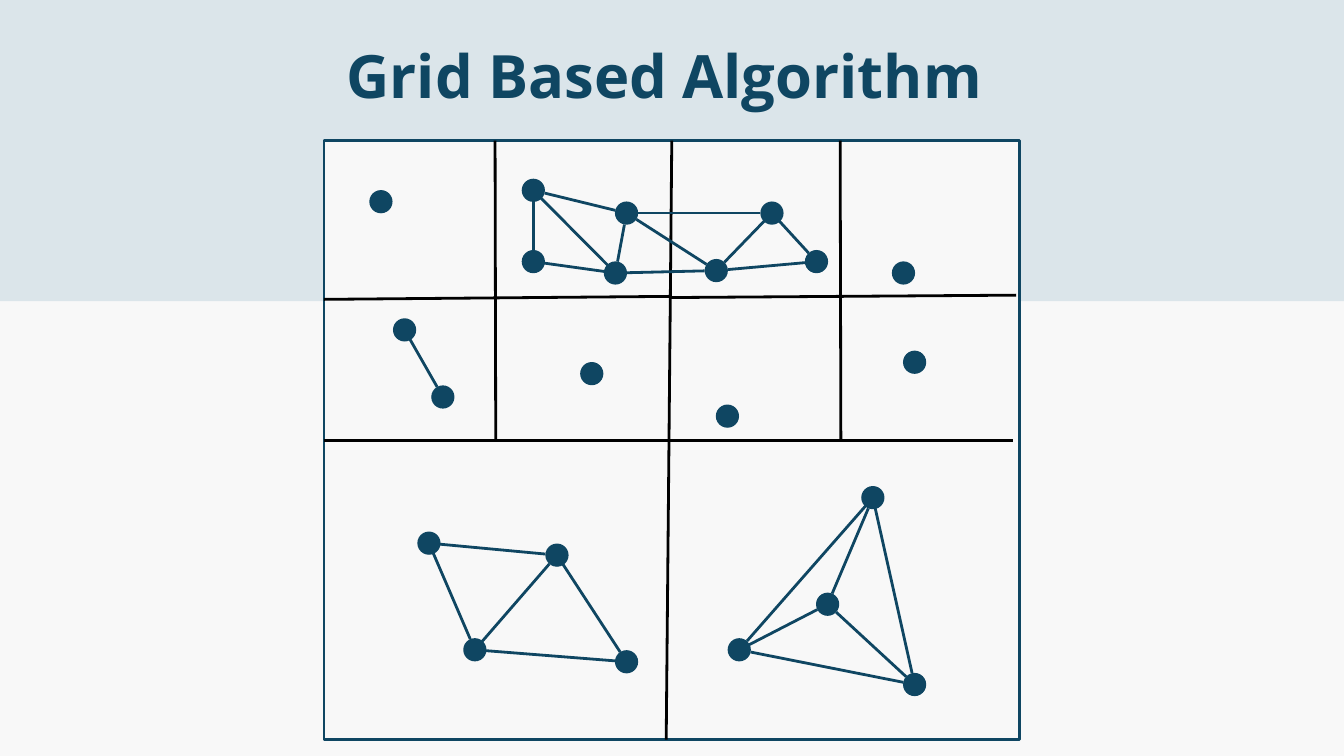
"""Builds the slide that shows clusters found by a grid based algorithm."""
import math
from dataclasses import dataclass

from lxml import etree
from pptx import Presentation
from pptx import util as u
from pptx.dml.color import RGBColor
from pptx.enum import shapes, text
from pptx.oxml.ns import qn


@dataclass(frozen=True)
class Theme:
    """Colours, type and line sizes of the slide."""
    paper: RGBColor = RGBColor.from_string("F8F8F8")
    band: RGBColor = RGBColor.from_string("DBE5EA")
    ink: RGBColor = RGBColor.from_string("0F4662")
    rule: RGBColor = RGBColor.from_string("000000")
    font: str = "Open Sans"
    title: float = 64
    leading: float = 89.6
    stroke: float = 3


@dataclass(frozen=True)
class Box:
    """A rectangle, with places inside it given in percent."""
    left: int
    top: int
    width: int
    height: int

    def at(self, column, row):
        """Return the point at a percentage of the width and height."""
        return (round(self.left + self.width * column / 100),
                round(self.top + self.height * row / 100))

    def region(self, column, row, columns, rows):
        """Return the box that covers a share of this one."""
        return Box(*self.at(column, row), round(self.width * columns / 100),
                   round(self.height * rows / 100))


THEME = Theme()
NODE_SIZE = 3.34

CELL_RULES = [
    ((99.5, 25.8), (49.6, 26.2)), ((50, 26), (0, 26.5)), ((0, 50), (99.1, 50)),
    ((74.2, 0), (74.3, 50.2)), ((50, 0), (49.2, 100)), ((24.6, 0), (24.7, 50.2)),
]
OUTLIERS = [(8.2, 10.2), (83.3, 22.1), (38.5, 38.9), (58, 46), (84.9, 37)]

CHAIN = {
    "nodes": {"a": (30.1, 8.3), "b": (30.1, 20.2), "c": (43.5, 12.1),
              "d": (41.9, 22.1), "e": (56.4, 21.7), "f": (64.4, 12.1),
              "g": (70.8, 20.2)},
    "edges": [("ab", "b"), ("cd", "cd"), ("ca", "ca"), ("db", ""), ("fe", "e"),
              ("gf", "g"), ("ge", "ge"), ("ad", ""), ("fc", "fc"),
              ("ec", "ec"), ("ed", "e")],
}
PAIR = {
    "nodes": {"a": (11.6, 31.6), "b": (17.1, 42.8)},
    "edges": [("ab", "b")],
}
RHOMBUS = {
    "nodes": {"a": (15.1, 67.2), "b": (33.5, 69.2), "c": (21.7, 85),
              "d": (43.5, 87)},
    "edges": [("ba", "b"), ("dc", "d"), ("ca", "c"), ("db", "d"), ("bc", "b")],
}
TRIANGLE = {
    "nodes": {"a": (78.9, 59.6), "b": (72.4, 77.4), "c": (84.9, 90.8),
              "d": (59.7, 85)},
    "edges": [("ca", "c"), ("da", "d"), ("dc", "dc"), ("ba", "ba"), ("db", "b"),
              ("bc", "bc")],
}


def add_block(slide, box, fill, line=None, kind=shapes.MSO_SHAPE.RECTANGLE):
    """Draw a filled shape over a box."""
    block = slide.shapes.add_shape(kind, box.left, box.top, box.width, box.height)
    block.shadow.inherit = False
    block.fill.solid()
    block.fill.fore_color.rgb = fill
    if line is None:
        block.line.fill.background()
    else:
        block.line.color.rgb = line
        block.line.width = u.Pt(THEME.stroke)


def add_line(slide, start, end, color):
    """Draw a straight line between two points."""
    line = slide.shapes.add_connector(shapes.MSO_CONNECTOR.STRAIGHT, *start, *end)
    line.line.color.rgb = color
    line.line.width = u.Pt(THEME.stroke)
    etree.SubElement(line._element.spPr, qn("a:effectLst"))


def write(frame, words, *, size, color, leading, bold=False):
    """Write one centred paragraph into a text frame."""
    frame.margin_left = frame.margin_right = 0
    frame.margin_top = frame.margin_bottom = 0
    frame.word_wrap = True
    frame.auto_size = text.MSO_AUTO_SIZE.NONE
    frame.vertical_anchor = text.MSO_ANCHOR.TOP
    frame.text = words
    paragraph = frame.paragraphs[0]
    paragraph.alignment = text.PP_ALIGN.CENTER
    paragraph.line_spacing = u.Pt(leading)
    paragraph.space_before = u.Pt(0)
    font = paragraph.runs[0].font
    font.name, font.size, font.bold = THEME.font, u.Pt(size), bold
    font.color.rgb = color


def add_title(slide, box):
    """Place the title in front of the band."""
    title = slide.shapes.title
    title.left, title.top = box.left, box.top
    title.width, title.height = box.width, box.height
    write(title.text_frame, "Grid Based Algorithm", size=THEME.title,
          color=THEME.ink, leading=THEME.leading, bold=True)
    slide.shapes._spTree.append(title._element)


def add_node(slide, board, place):
    """Draw one data point centred on its place on the board."""
    size = round(board.width * NODE_SIZE / 100)
    x, y = board.at(*place)
    add_block(slide, Box(x - size // 2, y - size // 2, size, size), THEME.ink,
              kind=shapes.MSO_SHAPE.OVAL)


def toward(start, end, distance):
    """Return the point a distance away from start on the way to end."""
    share = distance / math.dist(start, end)
    return tuple(round(a + (b - a) * share) for a, b in zip(start, end))


def add_cluster(slide, board, cluster):
    """Draw nodes and edges; an edge stops at the outline of its rim nodes."""
    nodes = cluster["nodes"]
    radius = board.width * NODE_SIZE / 200
    for place in nodes.values():
        add_node(slide, board, place)
    for (first, last), rim in cluster["edges"]:
        start, end = board.at(*nodes[first]), board.at(*nodes[last])
        add_line(slide, toward(start, end, radius * (first in rim)),
                 toward(end, start, radius * (last in rim)), THEME.ink)


def add_board(slide, board):
    """Draw the board with its cells, outliers and clusters."""
    add_block(slide, board, THEME.paper, line=THEME.ink)
    for start, end in CELL_RULES:
        add_line(slide, board.at(*start), board.at(*end), THEME.rule)
    for place in OUTLIERS:
        add_node(slide, board, place)
    for cluster in (CHAIN, PAIR, RHOMBUS, TRIANGLE):
        add_cluster(slide, board, cluster)


def main():
    """Build and save the presentation."""
    deck = Presentation()
    deck.slide_width, deck.slide_height = u.Inches(20), u.Inches(11.25)
    slide = deck.slides.add_slide(deck.slide_layouts.get_by_name("Title Only"))
    slide.background.fill.solid()
    slide.background.fill.fore_color.rgb = THEME.paper
    page = Box(0, 0, deck.slide_width, deck.slide_height)
    add_block(slide, page.region(0, 0, 100, 39.82), THEME.band)
    add_board(slide, page.region(24.1, 18.6, 51.77, 79.24))
    add_title(slide, page.region(21.65, 3.56, 55.55, 10.67))
    deck.save("out.pptx")


if __name__ == "__main__":
    main()
